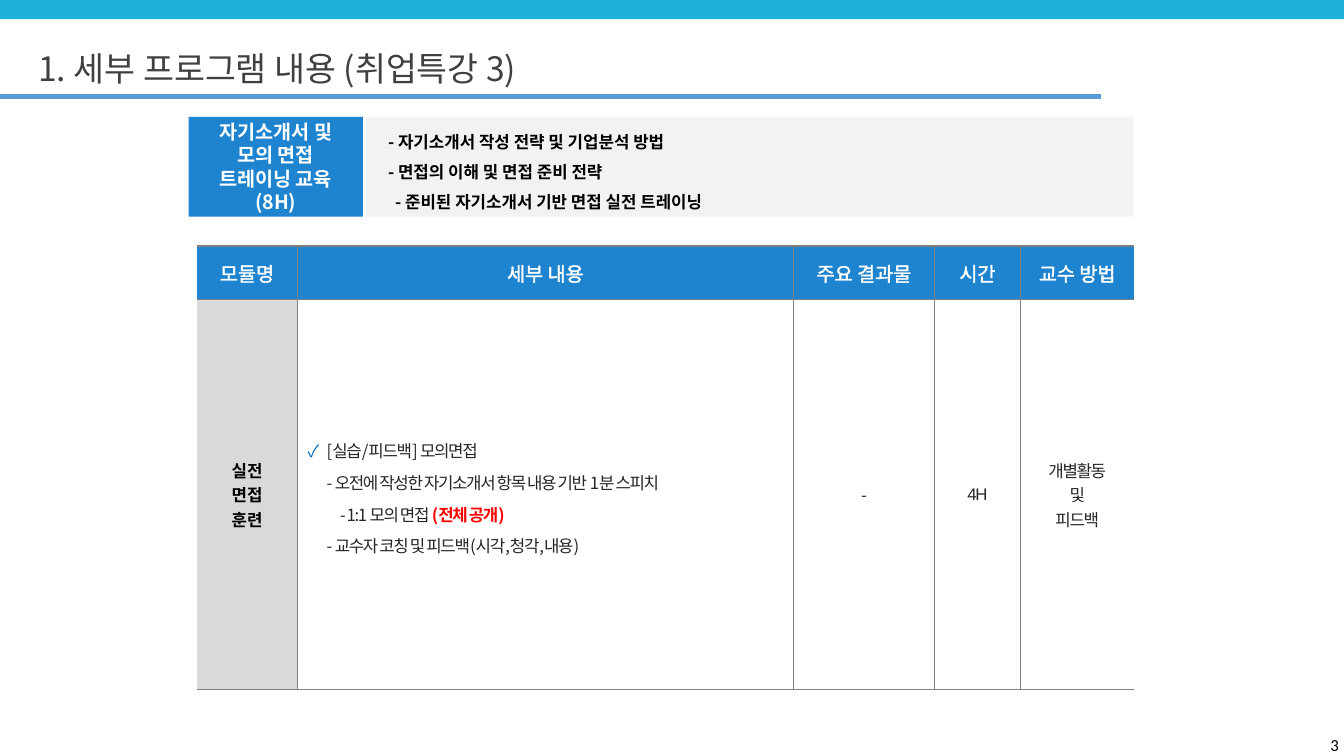
from lxml.etree import SubElement
from pptx import Presentation
from pptx.dml.color import RGBColor as RGB
from pptx.enum.shapes import MSO_CONNECTOR as LINE, MSO_SHAPE as SHAPE
from pptx.enum.text import MSO_ANCHOR as ANCHOR, PP_ALIGN as ALIGN
from pptx.oxml.ns import qn
from pptx.util import Inches, Pt

KOREAN = "Noto Sans CJK KR"
CYAN, SKY, BLUE = RGB(0x21, 0xB0, 0xD8), RGB(0x5B, 0x9B, 0xD5), RGB(0x1F, 0x84, 0xCF)
WHITE, BLACK, RED = RGB(255, 255, 255), RGB(0, 0, 0), RGB(255, 0, 0)
PALE, SILVER, GRAY = RGB(0xF2, 0xF2, 0xF2), RGB(0xD9, 0xD9, 0xD9), RGB(0x80, 0x80, 0x80)
DARK, INK, TICK = RGB(0x40, 0x40, 0x40), RGB(0x26, 0x26, 0x26), RGB(0, 0x70, 0xC0)

TITLE = "1. 세부 프로그램 내용 (취업특강 3)"
COURSE = ["자기소개서 및", "모의 면접", "트레이닝 교육 (8H)"]
# Each line with its indent in inches
TOPICS = [
    ("- 자기소개서 작성 전략 및 기업분석 방법", 0.12),
    ("- 면접의 이해 및 면접 준비 전략", 0.12),
    ("- 준비된 자기소개서 기반 면접 실전 트레이닝", 0.19),
]
HEADS = ["모듈명", "세부 내용", "주요 결과물", "시간", "교수 방법"]
MODULE = ["실전", "면접", "훈련"]
STEPS = [
    ("[실습/피드백] 모의면접", 0.19),
    ("- 오전에 작성한 자기소개서 항목 내용 기반 1분 스피치", 0.19),
    ("- 1:1 모의 면접 ", 0.32),
    ("- 교수자 코칭 및 피드백(시각,청각,내용)", 0.19),
]
OPEN = "(전체 공개)"
METHOD = ["개별활동", "및", "피드백"]
COLS = [1, 4.92, 1.4, 0.85, 1.13]
ROWS = [0.53, 3.87]


def style(par, size, color, bold=False, name=KOREAN, track=0):
    """Set the font of a paragraph for Latin and Korean text."""
    font = par.font
    font.size, font.bold, font.name = Pt(size), bold, name
    font.color.rgb = color
    props = font._element
    SubElement(props, qn("a:ea")).set("typeface", name)
    if track:
        props.set("spc", str(track * 100))


def write(frame, lines, size, color, align=ALIGN.CENTER, space=None, **look):
    """Fill a frame with one paragraph per line, given as text or (text, indent)."""
    frame.word_wrap = True
    frame.vertical_anchor = ANCHOR.MIDDLE
    for i, line in enumerate(lines):
        text, indent = (line, 0) if isinstance(line, str) else line
        par = frame.paragraphs[0] if i == 0 else frame.add_paragraph()
        par.add_run().text = text
        par.alignment = align
        if space:
            par.line_spacing = space
        style(par, size, color, **look)
        if indent:
            par._p.get_or_add_pPr().set("marL", str(Inches(indent)))
    return frame.paragraphs


def block(x, y, wide, high, color):
    """Add a plain filled rectangle."""
    box = slide.shapes.add_shape(
        SHAPE.RECTANGLE, Inches(x), Inches(y), Inches(wide), Inches(high))
    box.shadow.inherit = False
    box.fill.solid()
    box.fill.fore_color.rgb = color
    box.line.fill.background()
    return box


def solid(parent, color):
    """Add a solid fill element."""
    SubElement(SubElement(parent, qn("a:solidFill")), qn("a:srgbClr")).set("val", str(color))


def border(cell, drawn):
    """Draw the named sides of a cell in gray and clear the others."""
    props = cell._tc.get_or_add_tcPr()
    for i, side in enumerate("LRTB"):
        edge = props.makeelement(qn("a:ln" + side), {"w": str(Pt(1))})
        if side in drawn:
            solid(edge, GRAY)
        else:
            SubElement(edge, qn("a:noFill"))
        props.insert(i, edge)


def tick(par, indent):
    """Give a paragraph a hanging check mark."""
    props = par._p.get_or_add_pPr()
    props.set("indent", str(-Inches(indent)))
    hue = props.makeelement(qn("a:buClr"), {})
    SubElement(hue, qn("a:srgbClr")).set("val", str(TICK))
    face = props.makeelement(qn("a:buFont"), {"typeface": KOREAN})
    mark = props.makeelement(qn("a:buChar"), {"char": "✓"})
    font = props.find(qn("a:defRPr"))
    for part in (hue, face, mark):
        font.addprevious(part)


deck = Presentation()
deck.slide_width, deck.slide_height = Inches(13.33), Inches(7.5)
slide = deck.slides.add_slide(deck.slide_layouts[5])

# Title band
block(0, 0, 13.33, 0.19, CYAN)
rule = slide.shapes.add_connector(
    LINE.STRAIGHT, 0, Inches(0.96), Inches(10.92), Inches(0.96))
rule.line.color.rgb, rule.line.width = SKY, Pt(3.5)
SubElement(rule._element.spPr, qn("a:effectLst"))
title = slide.shapes.title
title.left, title.top = Inches(0.28), Inches(0.34)
title.width, title.height = Inches(12), Inches(0.73)
write(title.text_frame, [TITLE], 24, DARK, ALIGN.LEFT, 0.9)

# Course summary
course = block(1.87, 1.16, 1.73, 0.99, BLUE).text_frame
course.margin_left = course.margin_right = Inches(0.15)
course.margin_top = course.margin_bottom = 0
write(course, COURSE, 14, WHITE, space=1.0, bold=True)
topics = block(3.63, 1.16, 7.61, 0.99, PALE).text_frame
topics.margin_top = topics.margin_bottom = 0
write(topics, TOPICS, 12, BLACK, ALIGN.LEFT, 1.5, bold=True)

# Module table
table = slide.shapes.add_table(
    len(ROWS), len(COLS), Inches(1.95), Inches(2.44),
    Inches(sum(COLS)), Inches(sum(ROWS))).table
table.first_row = table.horz_banding = False
for col, wide in zip(table.columns, COLS):
    col.width = Inches(wide)
for row, high in zip(table.rows, ROWS):
    row.height = Inches(high)

last = len(COLS) - 1
for r, row in enumerate(table.rows):
    for c, cell in enumerate(row.cells):
        color = BLUE if r == 0 else SILVER if c == 0 else None
        if color:
            cell.fill.solid()
            cell.fill.fore_color.rgb = color
        else:
            cell.fill.background()
        cell.vertical_anchor = ANCHOR.MIDDLE
        border(cell, "TB" + ("L" if c > 0 else "") + ("R" if c < last else ""))

for cell, head in zip(table.rows[0].cells, HEADS):
    par = write(cell.text_frame, [head], 14, WHITE)[0]
    edge = par.font._element.makeelement(qn("a:ln"), {"w": str(Pt(0.75))})
    solid(edge, WHITE)
    par.font._element.insert(0, edge)

module, detail, result, hours, method = [cell.text_frame for cell in table.rows[1].cells]
write(module, MODULE, 12, BLACK, bold=True)
steps = write(detail, STEPS, 12, INK, ALIGN.LEFT, 1.3, track=-1)
tick(steps[0], STEPS[0][1])
note = steps[2].add_run()
note.text = OPEN
note.font.bold, note.font.color.rgb = True, RED
write(result, ["-"], 12, INK, track=-1)
write(hours, ["4H"], 12, INK, name="Arial", track=-1)
write(method, METHOD, 12, INK, track=-1)

# Page number
page = slide.shapes.add_textbox(
    Inches(10.38), Inches(7.19), Inches(2.95), Inches(0.4)).text_frame
page.margin_right = Inches(0.05)
write(page, ["3"], 12, BLACK, ALIGN.RIGHT, name="Calibri")

deck.save("out.pptx")
